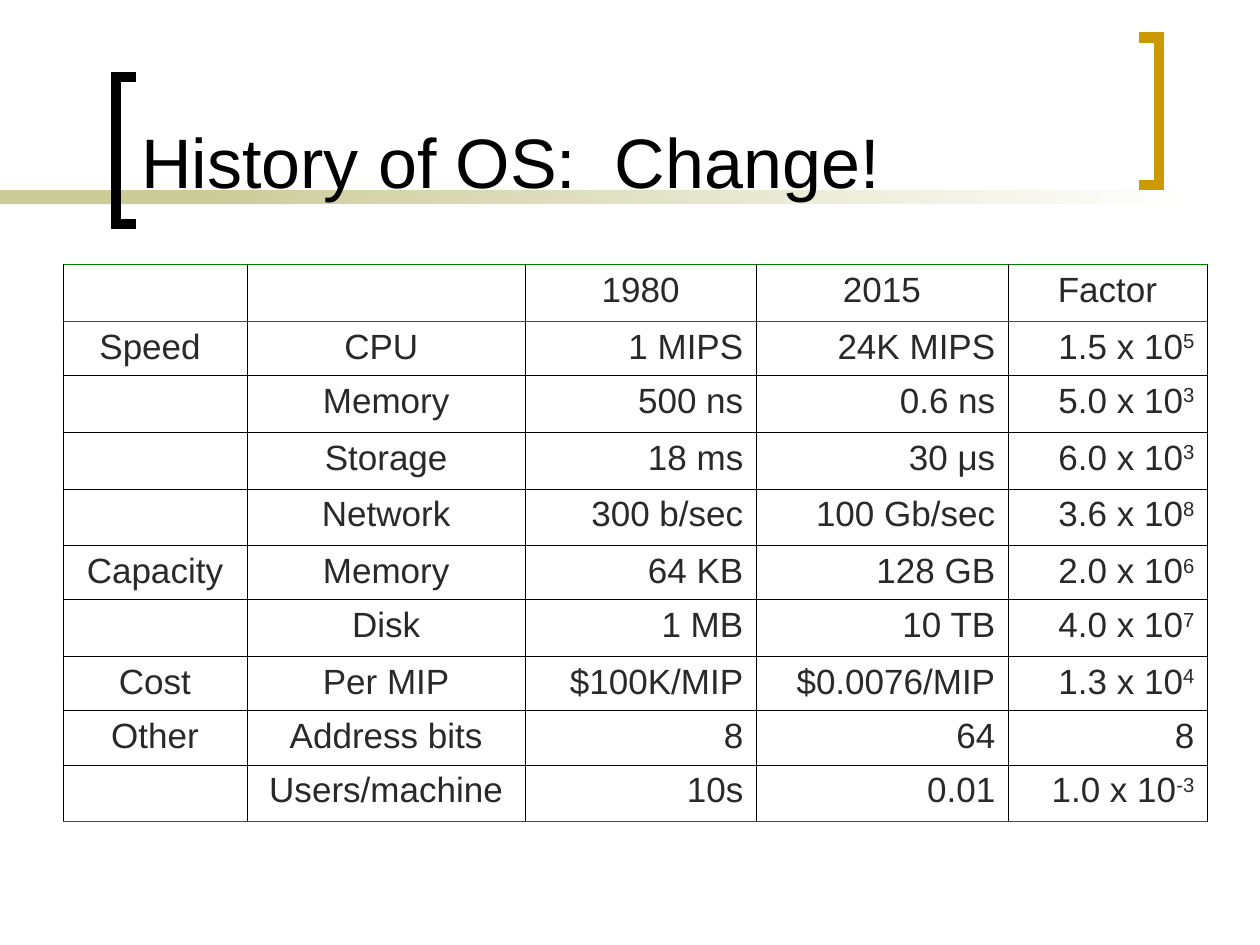
from typing import NamedTuple

from lxml import etree
from pptx import Presentation
from pptx import util as u
from pptx.dml.color import RGBColor
from pptx.enum import shapes, text
from pptx.oxml import ns

FONT = "Arial"
BLACK = RGBColor(0x00, 0x00, 0x00)
WHITE = RGBColor(0xFF, 0xFF, 0xFF)
INK = RGBColor(0x29, 0x29, 0x29)
SAND = RGBColor(0xCC, 0xCC, 0x99)
GOLD = RGBColor(0xCC, 0x99, 0x00)
GREEN = RGBColor(0x00, 0x80, 0x00)


class Bracket(NamedTuple):
    spine: float
    tip: float
    top: float
    color: RGBColor


class Border(NamedTuple):
    color: RGBColor
    points: float


class Row(NamedTuple):
    height: float
    cells: tuple[str, ...]


BRACKET_HEIGHT = 1.17
BRACKETS = (
    Bracket(0.92, 1.08, 0.61, BLACK),
    Bracket(9.2, 9.04, 0.3, GOLD),
)

GRID = Border(BLACK, 0.34)
EDGE = Border(GREEN, 0.96)
HEADER_RULE = Border(GREEN, 0.45)

COLUMN_WIDTHS = (1.46, 2.21, 1.83, 2.0, 1.58)
# A caret marks the start of a superscript
ROWS = (
    Row(0.45, ("", "", "1980", "2015", "Factor")),
    Row(0.43, ("Speed ", "CPU ", "1 MIPS", "24K MIPS", "1.5 x 10^5")),
    Row(0.45, ("", "Memory", "500 ns", "0.6 ns", "5.0 x 10^3")),
    Row(0.45, ("", "Storage", "18 ms", "30 μs", "6.0 x 10^3")),
    Row(0.45, ("", "Network", "300 b/sec", "100 Gb/sec", "3.6 x 10^8")),
    Row(0.43, ("Capacity", "Memory", "64 KB", "128 GB", "2.0 x 10^6")),
    Row(0.45, ("", "Disk", "1 MB", "10 TB", "4.0 x 10^7")),
    Row(0.43, ("Cost", "Per MIP", "$100K/MIP", "$0.0076/MIP", "1.3 x 10^4")),
    Row(0.43, ("Other", "Address bits", "8", "64", "8")),
    Row(0.45, ("", "Users/machine", "10s", "0.01", "1.0 x 10^-3")),
)


def add_span(para, words: str, size: float, color: RGBColor):
    span = para.add_run()
    span.text = words
    span.font.name = FONT
    span.font.size = u.Pt(size)
    span.font.color.rgb = color
    return span


def add_band(page, left: float, width: float):
    band = page.shapes.add_shape(
        shapes.MSO_SHAPE.RECTANGLE,
        u.Inches(left), u.Inches(1.51), u.Inches(width), u.Inches(0.11),
    )
    band.shadow.inherit = False
    band.line.fill.background()
    return band


def add_bands(page) -> None:
    solid = add_band(page, 0, 2.33)
    solid.fill.solid()
    solid.fill.fore_color.rgb = SAND

    fading = add_band(page, 1.58, 7.92)
    fading.fill.gradient()
    fading.fill.gradient_angle = 0
    for stop, position, color in zip(fading.fill.gradient_stops, (0, 1), (SAND, WHITE)):
        stop.position = position
        stop.color.rgb = color


def add_bracket(page, bracket: Bracket) -> None:
    bottom = bracket.top + BRACKET_HEIGHT
    corners = [
        (u.Inches(x), u.Inches(y))
        for x, y in (
            (bracket.tip, bracket.top),
            (bracket.spine, bracket.top),
            (bracket.spine, bottom),
            (bracket.tip, bottom),
        )
    ]
    builder = page.shapes.build_freeform(*corners[0])
    builder.add_line_segments(corners[1:], close=False)
    outline = builder.convert_to_shape()
    outline.shadow.inherit = False
    outline.fill.background()
    outline.line.color.rgb = bracket.color
    outline.line.width = u.Pt(6)
    # Square corners
    line = outline.line._get_or_add_ln()
    etree.SubElement(line, ns.qn("a:miter"), lim="800000")


def set_title(page) -> None:
    title = page.shapes.title
    title.left, title.top = u.Inches(1.02), u.Inches(0.11)
    title.width, title.height = u.Inches(7.83), u.Inches(1.55)
    frame = title.text_frame
    frame.auto_size = text.MSO_AUTO_SIZE.NONE
    frame.vertical_anchor = text.MSO_ANCHOR.BOTTOM
    para = frame.paragraphs[0]
    para.alignment = text.PP_ALIGN.LEFT
    add_span(para, "History of OS:  Change!", 40, BLACK)
    # Bring the title in front of the bands and brackets
    page.shapes._spTree.append(title._element)


def set_borders(cell, top: Border, bottom: Border) -> None:
    properties = cell._tc.get_or_add_tcPr()
    sides = (("lnL", GRID), ("lnR", GRID), ("lnT", top), ("lnB", bottom))
    for place, (tag, border) in enumerate(sides):
        line = etree.Element(ns.qn(f"a:{tag}"), w=str(u.Pt(border.points)))
        fill = etree.SubElement(line, ns.qn("a:solidFill"))
        etree.SubElement(fill, ns.qn("a:srgbClr"), val=str(border.color))
        properties.insert(place, line)


def fill_cell(cell, words: str, alignment) -> None:
    cell.fill.background()
    if not words:
        return
    para = cell.text_frame.paragraphs[0]
    para.alignment = alignment
    base, _, power = words.partition("^")
    add_span(para, base, 20, INK)
    if power:
        span = add_span(para, power, 20, INK)
        span.font._element.set("baseline", "30000")


def add_change_table(page) -> None:
    heights = [row.height for row in ROWS]
    table = page.shapes.add_table(
        len(ROWS), len(COLUMN_WIDTHS), u.Inches(0.5), u.Inches(2.1),
        u.Inches(sum(COLUMN_WIDTHS)), u.Inches(sum(heights)),
    ).table
    table.first_row = False
    table.horz_banding = False
    for column, width in zip(table.columns, COLUMN_WIDTHS):
        column.width = u.Inches(width)

    # One horizontal rule above each row, and one below the last
    rules = [EDGE, HEADER_RULE] + [GRID] * (len(ROWS) - 2) + [EDGE]
    for r, row in enumerate(ROWS):
        table.rows[r].height = u.Inches(row.height)
        for c, words in enumerate(row.cells):
            centred = r == 0 or c < 2
            alignment = text.PP_ALIGN.CENTER if centred else text.PP_ALIGN.RIGHT
            cell = table.cell(r, c)
            fill_cell(cell, words, alignment)
            set_borders(cell, rules[r], rules[r + 1])


def main() -> None:
    deck = Presentation()
    deck.slide_width, deck.slide_height = u.Inches(10), u.Inches(7.5)
    page = deck.slides.add_slide(deck.slide_layouts[5])

    # Heading with its decoration
    add_bands(page)
    for bracket in BRACKETS:
        add_bracket(page, bracket)
    set_title(page)

    # Comparison of 1980 and 2015
    add_change_table(page)
    deck.save("out.pptx")


if __name__ == "__main__":
    main()
